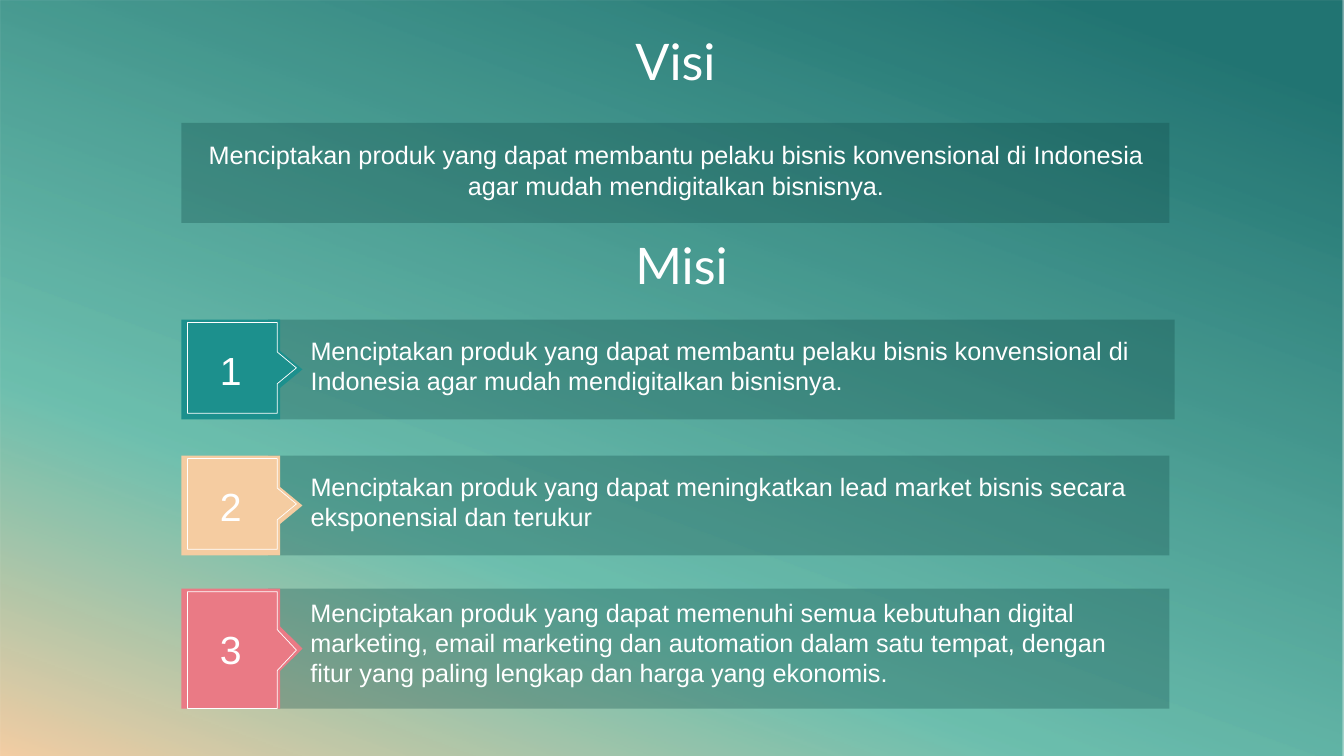
from dataclasses import dataclass

from lxml.etree import SubElement
from pptx import Presentation
from pptx.dml.color import RGBColor
from pptx.enum.shapes import MSO_SHAPE as Preset
from pptx.enum.text import MSO_ANCHOR as Anchor, PP_ALIGN as Align
from pptx.oxml.ns import qn
from pptx.shapes.autoshape import Shape
from pptx.slide import Slide
from pptx.text.text import TextFrame
from pptx.util import Inches, Pt

COLORS = {
    "white": "FFFFFF",
    "bar": "0E4846",
    "teal": "1C908D",
    "peach": "F5CCA1",
    "pink": "EA7A85",
    "deep": "156C6A",
    "mint": "5AB7A4",
}
SLIDE_WIDTH, SLIDE_HEIGHT = 13.33, 7.5
LEFT, CONTENT_WIDTH = 1.8, 9.8
BAR_LEFT, BADGE_WIDTH = 2.66, 0.98
POINTER_CENTER, POINTER_DEPTH = 2.79, 0.42
FRAME_LEFT, FRAME_RIGHT, FRAME_TIP = 1.86, 2.75, 2.94
TEXT_LEFT, TEXT_HEIGHT = 3.08, 0.71
VISION = (
    "Menciptakan produk yang dapat membantu pelaku bisnis konvensional "
    "di Indonesia agar mudah mendigitalkan bisnisnya."
)


@dataclass
class Mission:
    number: str
    text: str
    color: str
    top: float
    height: float = 0.99
    bar_width: float = 8.94
    text_offset: float = 0.1
    text_width: float = 8.58
    frame_height: float = 0.9


MISSIONS = [
    Mission("1", VISION, "teal", 3.17, bar_width=8.99),
    Mission(
        "2",
        "Menciptakan produk yang dapat meningkatkan lead market bisnis "
        "secara eksponensial dan terukur",
        "peach",
        4.52,
    ),
    Mission(
        "3",
        "Menciptakan produk yang dapat memenuhi semua kebutuhan digital "
        "marketing, email marketing dan automation dalam satu tempat, dengan "
        "fitur yang paling lengkap dan harga yang ekonomis.",
        "pink",
        5.84,
        height=1.19,
        text_offset=0.18,
        text_width=8.33,
        frame_height=1.16,
    ),
]


def rgb(color: str) -> RGBColor:
    return RGBColor.from_string(COLORS[color])


def add_filled(shapes, preset: Preset, left: float, top: float,
               width: float, height: float, color: str) -> Shape:
    shape = shapes.add_shape(preset, Inches(left), Inches(top), Inches(width), Inches(height))
    shape.shadow.inherit = False
    shape.fill.solid()
    shape.fill.fore_color.rgb = rgb(color)
    shape.line.fill.background()
    return shape


def add_bar(page: Slide, left: float, top: float, width: float, height: float) -> None:
    bar = add_filled(page.shapes, Preset.RECTANGLE, left, top, width, height, "bar")
    color = bar.element.spPr.find(qn("a:solidFill")).find(qn("a:srgbClr"))
    SubElement(color, qn("a:alpha"), val="30000")


def write(frame: TextFrame, text: str, size: float, font: str = "Arial",
          align: Align = Align.LEFT, spacing: float = 1.0) -> None:
    frame.text = text
    frame.word_wrap = True
    frame.vertical_anchor = Anchor.MIDDLE
    frame.margin_left = frame.margin_right = frame.margin_top = frame.margin_bottom = 0
    para = frame.paragraphs[0]
    para.alignment = align
    para.line_spacing = spacing
    span = para.runs[0]
    span.font.size = Pt(size)
    span.font.name = font
    span.font.color.rgb = rgb("white")


def add_text(page: Slide, left: float, top: float, width: float, height: float) -> TextFrame:
    box = page.shapes.add_textbox(Inches(left), Inches(top), Inches(width), Inches(height))
    return box.text_frame


def add_backdrop(page: Slide) -> None:
    backdrop = add_filled(page.shapes, Preset.RECTANGLE, 0, 0, SLIDE_WIDTH, SLIDE_HEIGHT, "mint")
    backdrop.fill.gradient()
    backdrop.fill.gradient_angle = 250
    stops = backdrop.element.spPr.find(qn("a:gradFill")).find(qn("a:gsLst"))
    for stop in list(stops):
        stops.remove(stop)
    for position, color, opacity in ((8, "deep", 94), (70, "mint", 88), (100, "peach", 97)):
        stop = SubElement(stops, qn("a:gs"), pos=str(position * 1000))
        value = SubElement(stop, qn("a:srgbClr"), val=COLORS[color])
        SubElement(value, qn("a:alpha"), val=str(opacity * 1000))
    page.shapes.element.insert(2, backdrop.element)


def add_badge(page: Slide, mission: Mission) -> None:
    group = page.shapes.add_group_shape()
    square = add_filled(group.shapes, Preset.RECTANGLE, LEFT, mission.top,
                        BADGE_WIDTH, mission.height, mission.color)
    write(square.text_frame, mission.number, 28, align=Align.CENTER)
    base = 0.7 * mission.height
    middle = mission.top + mission.height / 2
    pointer = add_filled(group.shapes, Preset.ISOSCELES_TRIANGLE, POINTER_CENTER - base / 2,
                         middle - POINTER_DEPTH / 2, base, POINTER_DEPTH, mission.color)
    pointer.rotation = 90


def add_frame(page: Slide, mission: Mission) -> None:
    top = mission.top + 0.03
    bottom = top + mission.frame_height
    middle = (top + bottom) / 2
    notch = 0.175 * mission.frame_height
    corners = [
        (FRAME_RIGHT, top),
        (FRAME_RIGHT, middle - notch),
        (FRAME_TIP, middle),
        (FRAME_RIGHT, middle + notch),
        (FRAME_RIGHT, bottom),
        (FRAME_LEFT, bottom),
    ]
    builder = page.shapes.build_freeform(Inches(FRAME_LEFT), Inches(top))
    builder.add_line_segments([(Inches(x), Inches(y)) for x, y in corners], close=True)
    outline = builder.convert_to_shape()
    outline.shadow.inherit = False
    outline.fill.background()
    outline.line.color.rgb = rgb("white")
    outline.line.width = Pt(0.5)


def add_mission(page: Slide, mission: Mission) -> None:
    add_bar(page, BAR_LEFT, mission.top, mission.bar_width, mission.height)
    add_badge(page, mission)
    frame = add_text(page, TEXT_LEFT, mission.top + mission.text_offset,
                     mission.text_width, TEXT_HEIGHT)
    write(frame, mission.text, 18)
    add_frame(page, mission)


def main() -> None:
    deck = Presentation()
    deck.slide_width, deck.slide_height = Inches(SLIDE_WIDTH), Inches(SLIDE_HEIGHT)
    page = deck.slides.add_slide(deck.slide_layouts[5])
    add_backdrop(page)

    title = page.shapes.title
    title.left, title.top = Inches(LEFT), Inches(0.29)
    title.width, title.height = Inches(CONTENT_WIDTH), Inches(0.7)
    write(title.text_frame, "Visi", 36, "Lato", Align.CENTER, 0.9)

    add_bar(page, LEFT, 1.22, CONTENT_WIDTH, 0.99)
    write(add_text(page, 2, 1.33, 9.41, TEXT_HEIGHT), VISION, 18, align=Align.CENTER)
    write(add_text(page, 1.86, 2.31, CONTENT_WIDTH, 0.7), "Misi", 36, "Lato", Align.CENTER, 0.9)

    for mission in MISSIONS:
        add_mission(page, mission)
    deck.save("out.pptx")


if __name__ == "__main__":
    main()
